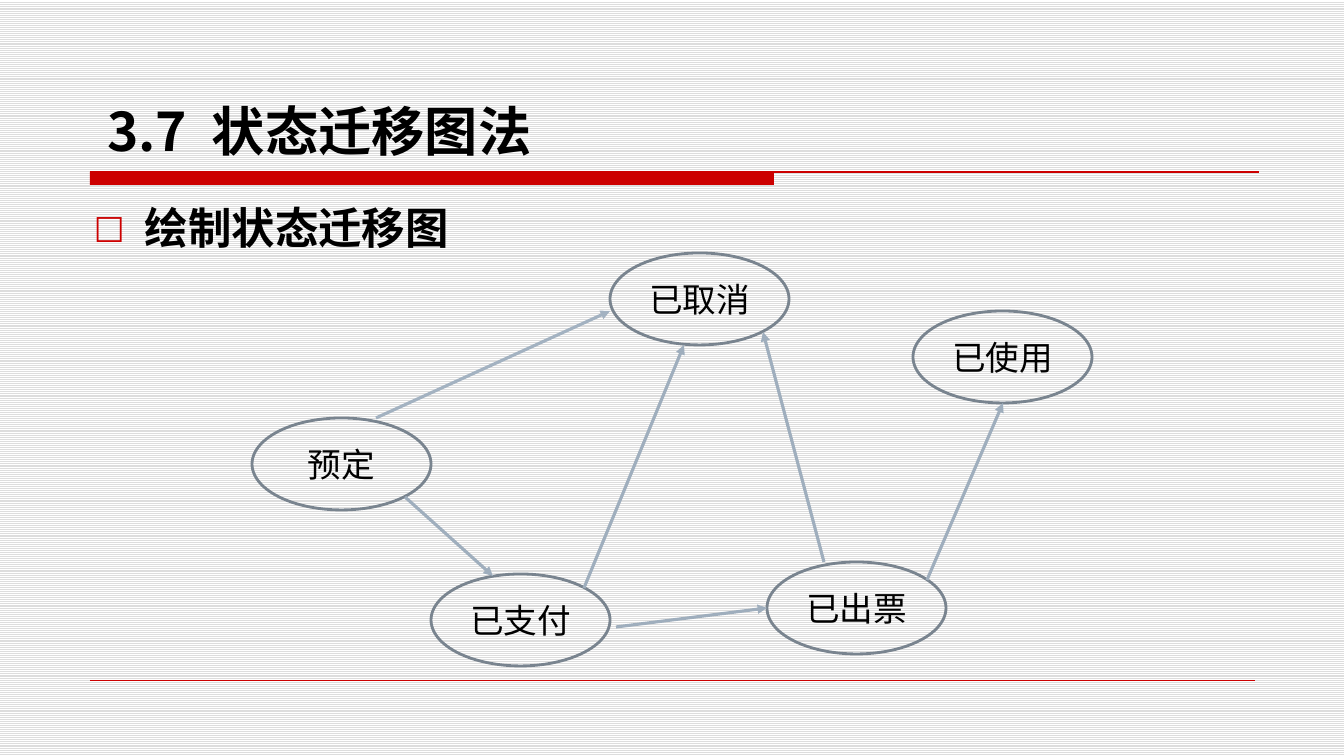
import pptx
import pptx.dml.color
import pptx.enum.dml
import pptx.enum.shapes
import pptx.enum.text
import pptx.oxml
import pptx.oxml.ns
import pptx.util

SCALE = 914400 / 100.8
LATIN, EAST_ASIAN = "DejaVu Sans", "Noto Sans CJK SC"
RED, BLACK, OUTLINE, ARROW = "CC0000", "000000", "79848F", "9FAEBD"
STATE_WIDTH, STATE_HEIGHT = 179, 92


def emu(pixels):
    """Turn pixels into EMU."""
    return pptx.util.Emu(round(pixels * SCALE))


def color(hex_text):
    """Turn a hex string into a colour."""
    return pptx.dml.color.RGBColor.from_string(hex_text)


def add_xml(parent, tag, **attributes):
    """Append a drawing element with the given attributes."""
    element = pptx.oxml.parse_xml(f"<a:{tag} {pptx.oxml.ns.nsdecls('a')}/>")
    for name, value in attributes.items():
        element.set(name, str(value))
    parent.append(element)
    return element


def add_text(paragraph, text, size, font=LATIN, bold=False, spacing=None):
    """Add one formatted run to a paragraph."""
    run = paragraph.add_run()
    run.text = text
    run.font.size = pptx.util.Pt(size)
    run.font.bold = bold
    run.font.name = font
    run.font.color.rgb = color(BLACK)
    properties = run._r.get_or_add_rPr()
    add_xml(properties, "ea", typeface=EAST_ASIAN)
    if spacing:
        properties.set("spc", str(spacing))


class StateSlide:
    """Holds the style and the current slide."""

    def __init__(self, presentation):
        """Add a title-only slide with a lined background."""
        self.slide = presentation.slides.add_slide(presentation.slide_layouts[5])
        fill = self.slide.background.fill
        fill.patterned()
        fill.pattern = pptx.enum.dml.MSO_PATTERN.LIGHT_HORIZONTAL
        fill.fore_color.rgb = color("DDDDDD")
        fill.back_color.rgb = color("FFFFFF")

    def frame(self, shape, anchor):
        """Prepare a text frame and return its first paragraph."""
        shape.text_frame.word_wrap = True
        shape.text_frame.auto_size = pptx.enum.text.MSO_AUTO_SIZE.NONE
        shape.text_frame.vertical_anchor = anchor
        return shape.text_frame.paragraphs[0]

    def title(self, number, text, left, top, width, height):
        """Place the title, with a wide gap after its number."""
        shape = self.slide.shapes.title
        shape.left, shape.top = emu(left), emu(top)
        shape.width, shape.height = emu(width), emu(height)
        paragraph = self.frame(shape, pptx.enum.text.MSO_ANCHOR.BOTTOM)
        paragraph.alignment = pptx.enum.text.PP_ALIGN.LEFT
        style = {"size": 38, "font": EAST_ASIAN, "bold": True}
        add_text(paragraph, number, **style)
        add_text(paragraph, " ", spacing=900, **style)
        add_text(paragraph, text, **style)

    def bullet(self, text, left, top, width, height):
        """Add a bold heading with a hollow square bullet."""
        shape = self.slide.shapes.add_textbox(*map(emu, (left, top, width, height)))
        paragraph = self.frame(shape, pptx.enum.text.MSO_ANCHOR.BOTTOM)
        properties = paragraph._p.get_or_add_pPr()
        properties.set("marL", str(emu(51)))
        properties.set("indent", str(emu(-51)))
        add_xml(add_xml(properties, "buClr"), "srgbClr", val=RED)
        add_xml(properties, "buSzPct", val=75000)
        add_xml(properties, "buFont", typeface=LATIN)
        add_xml(properties, "buChar", char="□")
        add_text(paragraph, text, 31, bold=True)

    def bar(self, left, top, width, height):
        """Add a solid red bar."""
        shape = self.slide.shapes.add_shape(
            pptx.enum.shapes.MSO_SHAPE.RECTANGLE, *map(emu, (left, top, width, height)))
        shape.shadow.inherit = False
        shape.fill.solid()
        shape.fill.fore_color.rgb = color(RED)
        shape.line.fill.background()

    def state(self, text, left, top):
        """Add a state as an outlined ellipse."""
        shape = self.slide.shapes.add_shape(
            pptx.enum.shapes.MSO_SHAPE.OVAL,
            *map(emu, (left, top, STATE_WIDTH, STATE_HEIGHT)))
        shape.shadow.inherit = False
        shape.fill.background()
        shape.line.color.rgb = color(OUTLINE)
        shape.line.width = pptx.util.Pt(2)
        paragraph = self.frame(shape, pptx.enum.text.MSO_ANCHOR.MIDDLE)
        paragraph.alignment = pptx.enum.text.PP_ALIGN.CENTER
        add_text(paragraph, text, 24)

    def line(self, start, end, line_color, width, arrow=False):
        """Add a straight line, with an arrowhead at its end if asked."""
        connector = self.slide.shapes.add_connector(
            pptx.enum.shapes.MSO_CONNECTOR.STRAIGHT, *map(emu, start + end))
        connector.line.color.rgb = color(line_color)
        connector.line.width = pptx.util.Pt(width)
        if arrow:
            add_xml(connector.line._get_or_add_ln(), "tailEnd", type="triangle")
        add_xml(connector._element.spPr, "effectLst")


def main():
    """Build and save the state transition slide."""
    presentation = pptx.Presentation()
    presentation.slide_width, presentation.slide_height = emu(1344), emu(756)
    page = StateSlide(presentation)

    page.bar(90, 172, 684, 13)
    page.line((90, 172), (1259, 172), RED, 0.75)
    page.line((90, 680), (1255, 680), RED, 0.25)
    page.title("3.7", "状态迁移图法", 97, 33, 882, 134)
    page.bullet("绘制状态迁移图", 84, 175, 389, 83)

    states = {
        "已支付": (431, 574),
        "预定": (252, 418),
        "已取消": (610, 253),
        "已出票": (767, 562),
        "已使用": (913, 311),
    }
    for name, corner in states.items():
        page.state(name, *corner)

    transitions = [
        ((405, 497), (493, 576), ARROW),
        ((376, 418), (610, 311), "A3B2C1"),
        ((584, 588), (684, 345), ARROW),
        ((824, 562), (763, 332), ARROW),
        ((616, 627), (767, 608), ARROW),
        ((927, 580), (1003, 403), ARROW),
    ]
    for start, end, arrow_color in transitions:
        page.line(start, end, arrow_color, 2.25, arrow=True)

    presentation.save("out.pptx")


main()
